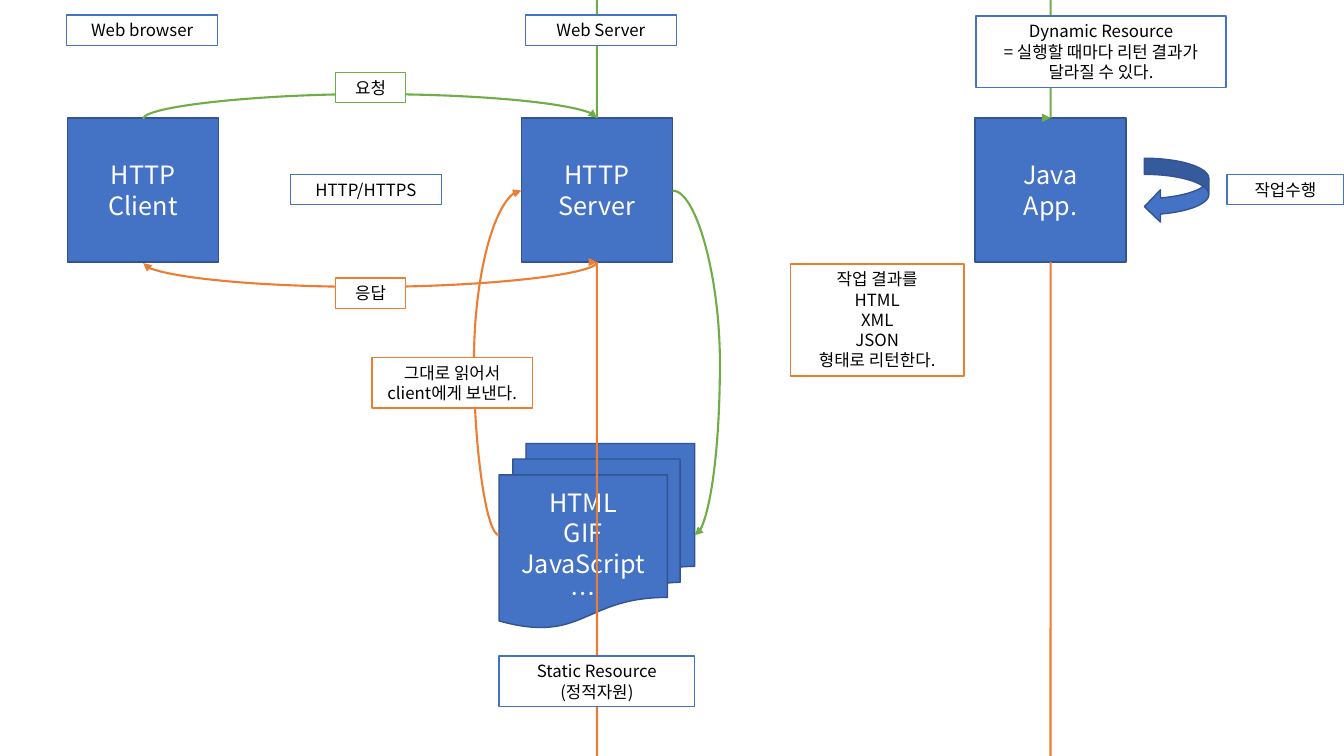
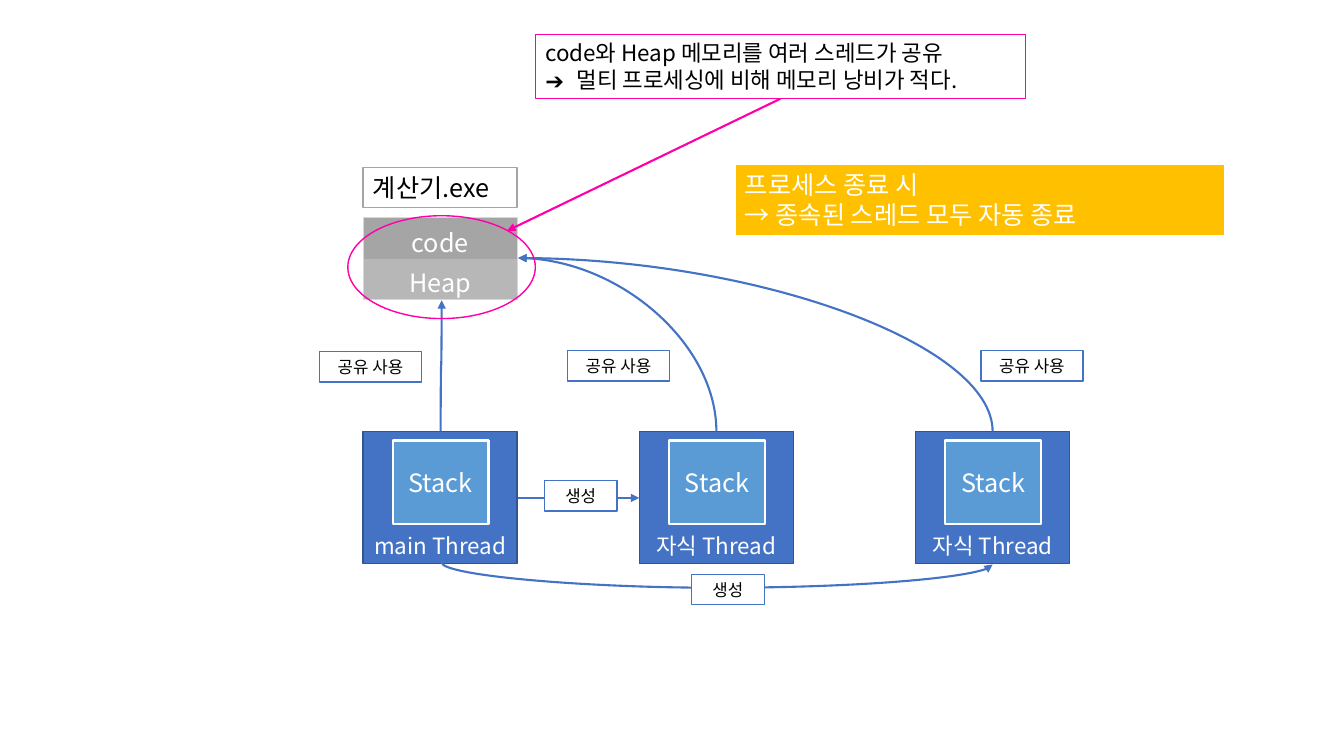
from dataclasses import dataclass
from math import copysign

from lxml import etree
from pptx import Presentation, util as u
from pptx.dml.color import RGBColor
from pptx.enum import shapes, text
from pptx.oxml import ns

Inches, Pt = u.Inches, u.Pt
SHAPE, LINE = shapes.MSO_SHAPE, shapes.MSO_CONNECTOR
LEFT, CENTER = text.PP_ALIGN.LEFT, text.PP_ALIGN.CENTER
TOP, MIDDLE, BOTTOM = (text.MSO_ANCHOR.TOP, text.MSO_ANCHOR.MIDDLE,
                       text.MSO_ANCHOR.BOTTOM)


@dataclass(frozen=True)
class Theme:
    """Colours, font, type sizes and line widths of both slides."""
    font: str = "Noto Sans CJK KR"
    blue: str = "4472C4"
    edge: str = "325491"
    sky: str = "5B9BD5"
    green: str = "70AD47"
    orange: str = "ED7D31"
    gold: str = "FFC000"
    pink: str = "FF00A8"
    gray: str = "A5A5A5"
    light_gray: str = "B7B7B7"
    pale: str = "D8D8D8"
    white: str = "FFFFFF"
    black: str = "000000"
    large: int = 18
    medium: int = 16
    small: int = 12
    thin: float = 1
    thick: float = 1.5


T = Theme()


def rgb(color):
    """Turn a hex string into a colour."""
    return RGBColor.from_string(color)


def sub(parent, tag, **attrs):
    """Append a DrawingML element and return it."""
    return etree.SubElement(parent, ns.qn(tag), **attrs)


def apply(target, formats):
    """Set each attribute of a dict of format values."""
    for name, value in formats.items():
        setattr(target, name, value)


def write(tf, lines, size, color, align=CENTER):
    """Write one paragraph for each line."""
    for i, line in enumerate(lines.split("\n")):
        p = tf.paragraphs[0] if i == 0 else tf.add_paragraph()
        p.alignment = align
        r = p.add_run()
        r.text = line
        apply(r.font, {"name": T.font, "size": Pt(size)})
        r.font.color.rgb = rgb(color)
        sub(r.font._element, "a:ea", typeface=T.font)


def paint(sp, fill, line, width):
    """Set fill and outline; a fill of None leaves the shape open."""
    if fill:
        sp.fill.solid()
        sp.fill.fore_color.rgb = rgb(fill)
    else:
        sp.fill.background()
    sp.line.color.rgb = rgb(line)
    sp.line.width = Pt(width)


def block(s, at, lines="", kind=SHAPE.RECTANGLE, fill=T.blue, line=T.edge,
          width=T.thin, size=T.large, anchor=MIDDLE):
    """Add a filled shape with centred white text."""
    sp = s.shapes.add_shape(kind, *map(Inches, at))
    sp.shadow.inherit = False
    paint(sp, fill, line, width)
    if lines:
        apply(sp.text_frame, {"word_wrap": True, "vertical_anchor": anchor})
        write(sp.text_frame, lines, size, T.white)
    return sp


def label(s, at, lines, line=T.blue, fill=T.white, width=T.thin,
          size=T.small, color=T.black, align=CENTER):
    """Add an outlined text box that fits its text."""
    sp = s.shapes.add_textbox(*map(Inches, at))
    paint(sp, fill, line, width)
    apply(sp.text_frame, {"word_wrap": True, "vertical_anchor": TOP,
                          "auto_size": text.MSO_AUTO_SIZE.SHAPE_TO_FIT_TEXT})
    write(sp.text_frame, lines, size, color, align)
    return sp


def bullet(p, char, indent):
    """Give a paragraph a bullet with a hanging indent."""
    pPr = p._p.get_or_add_pPr()
    pPr.set("marL", str(Inches(indent)))
    pPr.set("indent", str(-Inches(indent)))
    sub(pPr, "a:buFont", typeface=T.font)
    sub(pPr, "a:buChar", char=char)


def finish(c, color):
    """Colour a connector and put an arrowhead at its end."""
    c.line.color.rgb = rgb(color)
    c.line.width = Pt(T.thick)
    sub(c.line._get_or_add_ln(), "a:tailEnd", type="triangle")
    sub(c._element.spPr, "a:effectLst")


def arrow(s, start, end, color):
    """Add a straight arrow."""
    c = s.shapes.add_connector(LINE.STRAIGHT, *map(Inches, start + end))
    finish(c, color)


def curve(s, start, end, color, turn, bend=None):
    """Add a curved arrow turned by 0, 90, 180 or 270 degrees.

    bend is the reach from the start along the turned x axis;
    without it the curve is a single quarter arc.
    """
    (x1, y1), (x2, y2) = map(Inches, start), map(Inches, end)
    dx, dy = x2 - x1, y2 - y1
    run, rise = {0: (dx, dy), 90: (dy, -dx),
                 180: (-dx, -dy), 270: (-dy, dx)}[turn]
    run = run or int(copysign(1, bend))
    left, top = (x1 + x2 - run) // 2, (y1 + y2 - rise) // 2
    c = s.shapes.add_connector(LINE.CURVE, left, top, left + run, top + rise)
    c.rotation = turn
    geom = c._element.spPr.find(ns.qn("a:prstGeom"))
    if bend is None:
        geom.set("prst", "curvedConnector2")
    else:
        ratio = round(Inches(bend) / run * 100000)
        sub(geom.find(ns.qn("a:avLst")), "a:gd", name="adj1",
            fmla=f"val {ratio}")
    finish(c, color)


def border(cell, sides):
    """Draw thin pale borders on the given sides and clear the others."""
    tcPr = cell._tc.get_or_add_tcPr()
    for i, side in enumerate("LRTB"):
        ln = etree.Element(ns.qn(f"a:ln{side}"), w=str(Pt(0.5)))
        if side in sides:
            sub(sub(ln, "a:solidFill"), "a:srgbClr", val=T.pale)
        else:
            sub(ln, "a:noFill")
        tcPr.insert(i, ln)


def memory_table(s, at, rows):
    """Add the one-column table of shared memory areas."""
    frame = s.shapes.add_table(len(rows), 1, *map(Inches, at))
    table = frame.table
    apply(table, {"first_row": False, "horz_banding": False})
    for i, (name, fill, sides) in enumerate(rows):
        cell = table.cell(i, 0)
        cell.fill.solid()
        cell.fill.fore_color.rgb = rgb(fill)
        write(cell.text_frame, name, T.large, T.white)
        border(cell, sides)


def web_slide(s):
    """Draw the request and response flow between client and server."""
    client, server, app = 1.42, 5.92, 10.42
    top, bottom, side = 1.17, 2.6, 1.89
    for x, name in ((client, "HTTP\nClient"), (server, "HTTP\nServer"),
                    (app, "Java\nApp.")):
        block(s, (x - 0.75, top, 1.5, 1.43), name)
    block(s, (4.95, 4.4, 1.94, 1.83), "HTML\nGIF\nJavaScript\n…",
          SHAPE.FLOWCHART_MULTIDOCUMENT)

    curve(s, (client, top + 0.01), (server, top), T.green, 90, -0.25)
    curve(s, (server, top), (app, top), T.green, 90, -0.25)
    curve(s, (server, bottom), (client, bottom + 0.01), T.orange, 90, 0.25)
    curve(s, (app, bottom), (server, bottom), T.orange, 90, 0.25)
    curve(s, (6.67, side), (6.89, 5.31), T.green, 0, 0.47)
    curve(s, (4.95, 5.31), (5.17, side), T.orange, 180, 0.25)

    label(s, (3.33, 0.72, 0.69, 0.3), "요청", T.green)
    label(s, (3.33, 2.76, 0.69, 0.3), "응답", T.orange)
    label(s, (0.66, 0.15, 1.5, 0.3), "Web browser")
    label(s, (5.21, 0.15, 1.5, 0.3), "Web Server")
    label(s, (2.88, 1.73, 1.5, 0.3), "HTTP/HTTPS")
    block(s, (11.35, 1.57, 0.64, 0.64), kind=SHAPE.CURVED_LEFT_ARROW)
    label(s, (12.17, 1.73, 1.16, 0.3), "작업수행")
    label(s, (7.84, 2.62, 1.72, 1.11),
          "작업 결과를\nHTML\nXML\nJSON\n형태로 리턴한다.", T.orange)
    label(s, (3.69, 3.55, 1.59, 0.5),
          "그대로 읽어서\nclient에게 보낸다.", T.orange)
    label(s, (4.95, 6.51, 1.94, 0.5), "Static Resource\n(정적자원)")
    label(s, (9.68, 0.16, 2.48, 0.71),
          "Dynamic Resource\n= 실행할 때마다 리턴 결과가 달라질 수 있다.")


def thread_slide(s):
    """Draw threads that share the code and heap of one process."""
    left, pitch, width, top = 3.6, 2.74, 1.53, 4.28
    main_x, child_x, last_x = (left + width / 2 + i * pitch for i in range(3))
    memory = (5.14, 2.56)

    memory_table(s, (left, 2.16, width, 0.81),
                 (("code", T.gray, "LRT"), ("Heap", T.light_gray, "LRB")))
    label(s, (left, 1.66, width, 0.4), "계산기.exe", T.gray,
          size=T.large, align=LEFT)
    for x, name in ((main_x, "main Thread"), (child_x, "자식 Thread"),
                    (last_x, "자식 Thread")):
        block(s, (x - width / 2, top, width, 1.31), name,
              size=T.medium, anchor=BOTTOM)
        block(s, (x - 0.47, top + 0.09, 0.95, 0.83), "Stack",
              fill=T.sky, line=T.white, width=T.thick)

    curve(s, (last_x, top), memory, T.blue, 270)
    curve(s, (child_x, top), memory, T.blue, 270)
    curve(s, (4.37, top), (4.38, 2.98), T.blue, 90, -0.65)
    for x, y in ((3.17, 3.49), (5.63, 3.48), (9.73, 3.48)):
        label(s, (x, y, 1.01, 0.3), "공유 사용")

    arrow(s, (5.14, 4.94), (6.34, 4.94), T.blue)
    label(s, (5.4, 4.77, 0.72, 0.3), "생성")
    curve(s, (4.38, 5.58), (last_x, 5.6), T.blue, 270, -0.25)
    label(s, (6.86, 5.7, 0.72, 0.3), "생성")

    block(s, (3.45, 2.14, 1.86, 1.02), kind=SHAPE.OVAL, fill=None, line=T.pink)
    arrow(s, (7.74, 0.98), (5.03, 2.29), T.pink)
    note = label(s, (5.31, 0.34, 4.86, 0.64),
                 "code와 Heap 메모리를 여러 스레드가 공유\n"
                 "멀티 프로세싱에 비해 메모리 낭비가 적다.",
                 T.pink, size=T.medium, align=LEFT)
    bullet(note.text_frame.paragraphs[1], "➔", 0.31)
    label(s, (7.29, 1.63, 4.86, 0.71),
          "프로세스 종료 시\n→ 종속된 스레드 모두 자동 종료", T.white, T.gold,
          T.thick, T.large, T.white, LEFT)


def main():
    """Build both slides and save the file."""
    prs = Presentation()
    apply(prs, {"slide_width": Inches(13.33), "slide_height": Inches(7.5)})
    for draw in (web_slide, thread_slide):
        draw(prs.slides.add_slide(prs.slide_layouts[6]))
    prs.save("out.pptx")


main()
